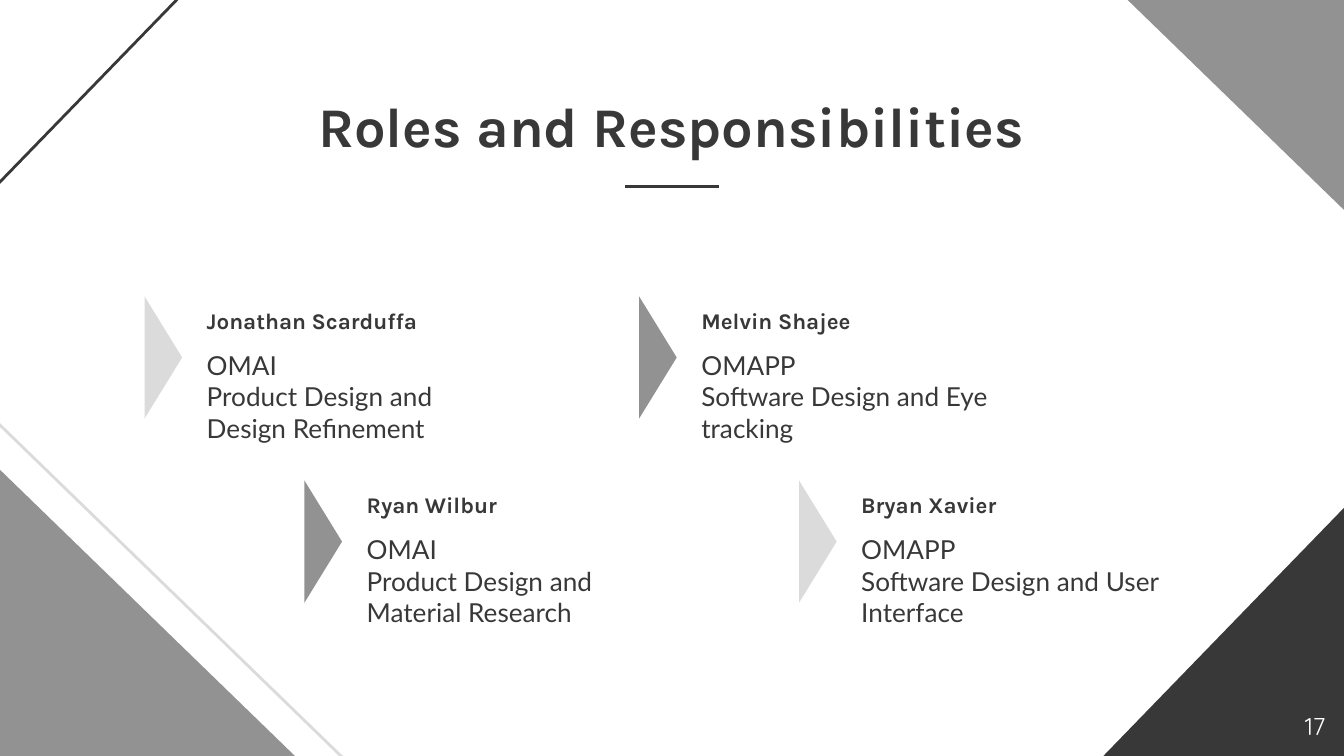
from lxml.etree import SubElement
from pptx import Presentation
from pptx.dml.color import RGBColor
from pptx.enum.shapes import MSO_CONNECTOR, MSO_SHAPE
from pptx.enum.text import MSO_ANCHOR, PP_ALIGN
from pptx.oxml.ns import qn
from pptx.util import Inches, Pt

# Content
TITLE = "Roles and Responsibilities"
NUMBER = "17"
# name, team, duty, arrow colour; one row of people per list
ROWS = [
    [("Jonathan Scarduffa", "OMAI", "Product Design and Design Refinement", "light"),
     ("Melvin Shajee", "OMAPP", "Software Design and Eye tracking", "mid")],
    [("Ryan Wilbur", "OMAI", "Product Design and Material Research", "mid"),
     ("Bryan Xavier", "OMAPP", "Software Design and User Interface", "light")],
]
# left, top, width, height, turn, fill, line
CORNERS = [
    (8, 3.53, 2.31, 2.24, 270, "dark", None),
    (-0.57, 2.61, 3.72, 3.61, 0, None, "light"),
    (-0.81, 2.71, 3.72, 3.61, 0, "mid", None),
    (7.36, -1, 3.72, 3.61, 180, "mid", None),
    (-0.29, -2.07, 3.72, 3.61, 90, None, "dark"),
]

THEME = {
    "dark": RGBColor(0x38, 0x38, 0x38),
    "mid": RGBColor(0x92, 0x92, 0x92),
    "light": RGBColor(0xDB, 0xDB, 0xDB),
    "white": RGBColor(0xFF, 0xFF, 0xFF),
    "stroke": Pt(1.5),
    # font, size, bold, colour
    "title": ("Karla", 30, True, "dark"),
    "name": ("Karla", 12, True, "dark"),
    "body": ("Lato", 14, False, "dark"),
    "number": ("Quicksand", 13, False, "white"),
}

# Layout: columns are COL apart, each lower row steps right and down
LEFT, TOP = 1.44, 2.2
COL, STEP, DROP = 3.68, 1.19, 1.37

# A 16:9 slide
deck = Presentation()
deck.slide_width = Inches(10)
deck.slide_height = deck.slide_width * 9 // 16
slide = deck.slides.add_slide(deck.slide_layouts[6])


def add_shape(kind, box, turn, fill=None, line=None):
    shape = slide.shapes.add_shape(kind, *map(Inches, box))
    shape.rotation = turn
    shape.shadow.inherit = False
    if fill:
        shape.fill.solid()
        shape.fill.fore_color.rgb = THEME[fill]
    else:
        shape.fill.background()
    if line:
        shape.line.color.rgb = THEME[line]
        shape.line.width = THEME["stroke"]
    else:
        shape.line.fill.background()


def add_text(lines, box, style, align=PP_ALIGN.LEFT, anchor=MSO_ANCHOR.TOP):
    frame = slide.shapes.add_textbox(*map(Inches, box)).text_frame
    frame.word_wrap = True
    frame.vertical_anchor = anchor
    frame.margin_left = frame.margin_right = Inches(0.1)
    frame.margin_top = frame.margin_bottom = Inches(0.1)
    frame.text = "\n".join(lines)
    face, size, bold, color = THEME[style]
    for para in frame.paragraphs:
        para.alignment = align
        font = para.font
        font.name, font.size, font.bold = face, Pt(size), bold
        font.color.rgb = THEME[color]


# Corner triangles
for *box, turn, fill, line in CORNERS:
    add_shape(MSO_SHAPE.RIGHT_TRIANGLE, box, turn, fill, line)

# People
for row, people in enumerate(ROWS):
    for col, (name, team, duty, color) in enumerate(people):
        x = LEFT + col * COL + row * STEP
        y = TOP + row * DROP
        add_text([name], (x, y, 2.14, 0.37), "name", anchor=MSO_ANCHOR.MIDDLE)
        add_text([team, duty], (x, y + 0.3, 2.43, 0.91), "body")
        add_shape(MSO_SHAPE.ISOSCELES_TRIANGLE,
                  (x - 0.68, y + 0.32, 0.91, 0.28), 90, color)

# Title and rule
add_text([TITLE], (0.78, 0.58, 8.43, 0.58), "title", PP_ALIGN.CENTER)
rule = slide.shapes.add_connector(
    MSO_CONNECTOR.STRAIGHT, *map(Inches, (4.65, 1.39, 5.35, 1.39)))
rule.line.color.rgb = THEME["dark"]
rule.line.width = THEME["stroke"]
SubElement(rule._element.spPr, qn("a:effectLst"))

# Slide number
add_text([NUMBER], (9.36, 5.19, 0.6, 0.43), "number", PP_ALIGN.RIGHT)

deck.save("out.pptx")
